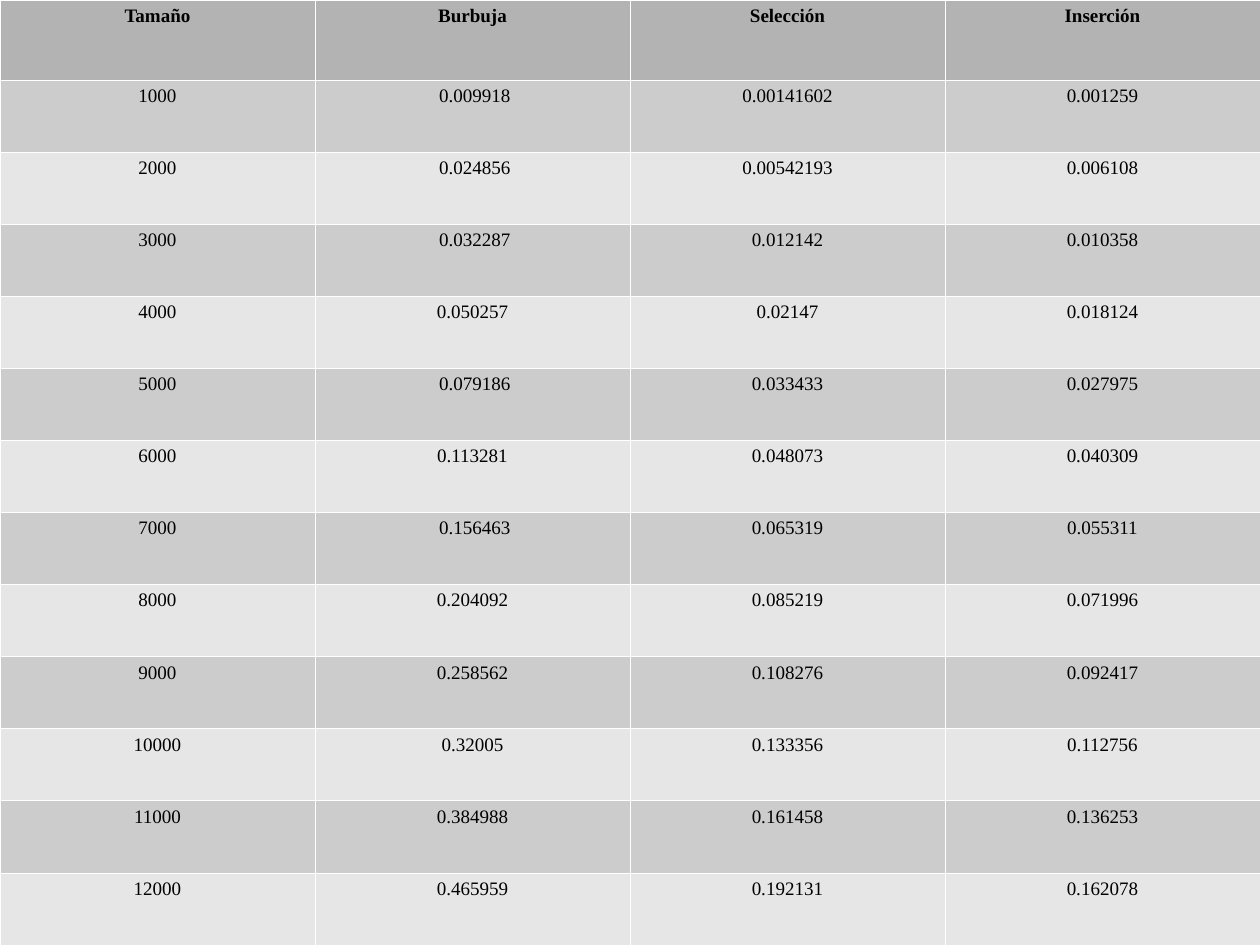
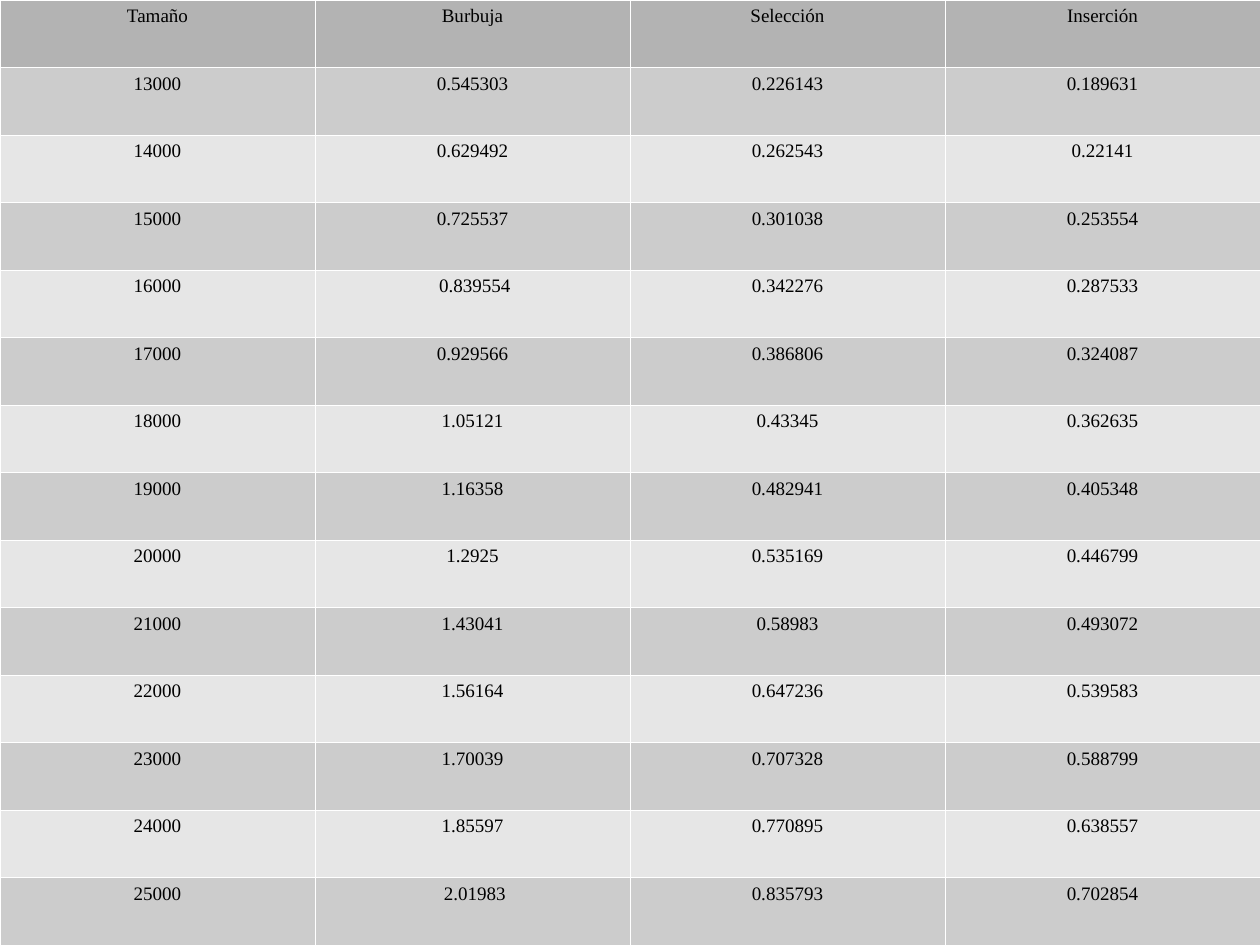
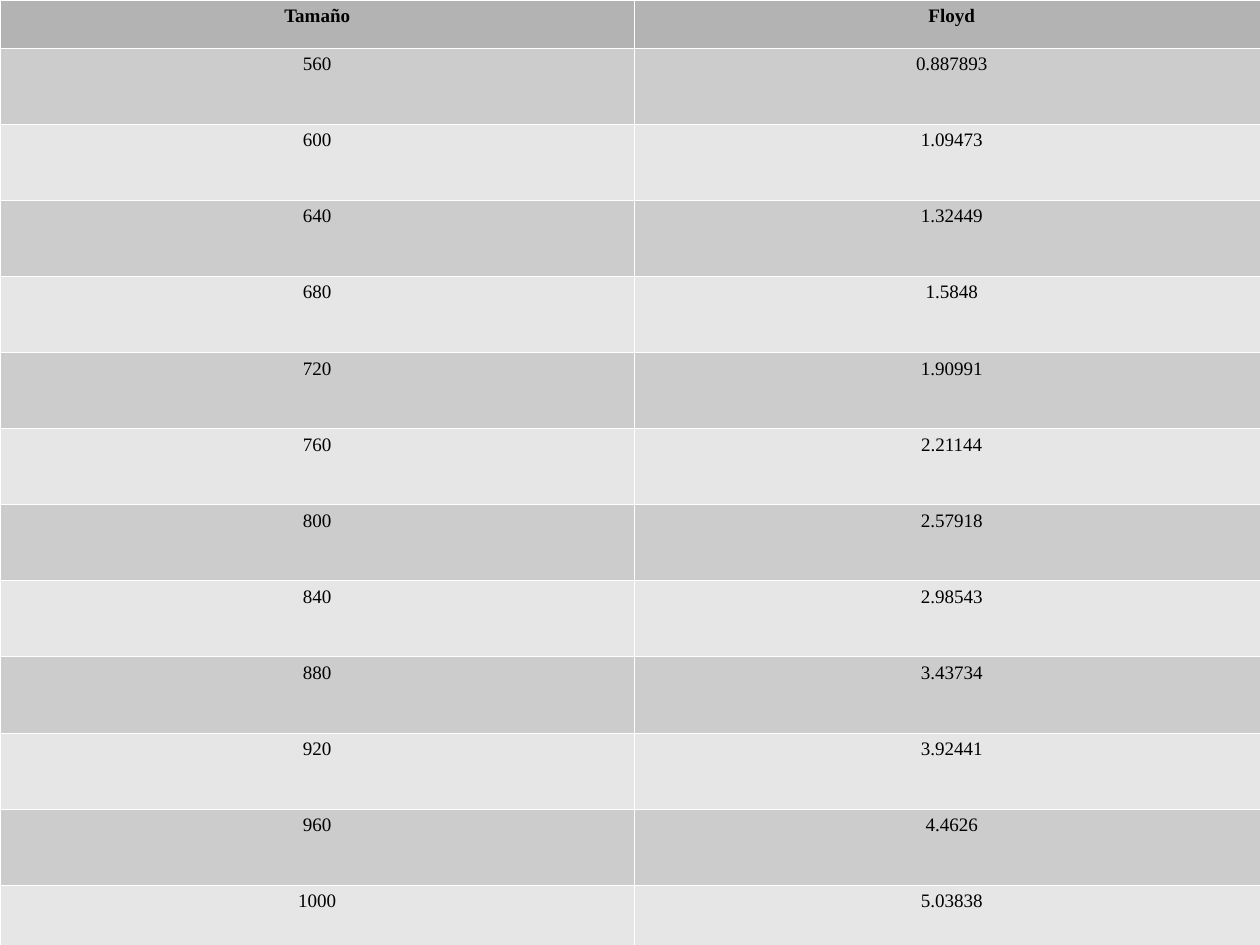
import pptx
import pptx.util
import pptx.dml.color
import pptx.enum.text
import pptx.oxml
import pptx.oxml.ns

# Content
SORT_HEAD = ("Tamaño", "Burbuja", "Selección", "Inserción")

SORT_SMALL = [
    ("1000", " 0.009918", "0.00141602", "0.001259"),
    ("2000", " 0.024856", "0.00542193", "0.006108"),
    ("3000", " 0.032287", "0.012142", "0.010358"),
    ("4000", "0.050257", "0.02147", "0.018124"),
    ("5000", " 0.079186", "0.033433", "0.027975"),
    ("6000", "0.113281", "0.048073", "0.040309"),
    ("7000", " 0.156463", "0.065319", "0.055311"),
    ("8000", "0.204092", "0.085219", "0.071996"),
    ("9000", "0.258562", "0.108276", "0.092417"),
    ("10000", "0.32005", "0.133356", "0.112756"),
    ("11000", "0.384988", "0.161458", "0.136253"),
    ("12000", "0.465959", "0.192131", "0.162078"),
]

SORT_LARGE = [
    ("13000", "0.545303", "0.226143", "0.189631"),
    ("14000", "0.629492", "0.262543", "0.22141"),
    ("15000", "0.725537", "0.301038", "0.253554"),
    ("16000", " 0.839554", "0.342276", "0.287533"),
    ("17000", "0.929566", "0.386806", "0.324087"),
    ("18000", "1.05121", "0.43345", "0.362635"),
    ("19000", "1.16358", "0.482941", "0.405348"),
    ("20000", "1.2925", "0.535169", "0.446799"),
    ("21000", "1.43041", "0.58983", "0.493072"),
    ("22000", "1.56164", "0.647236", "0.539583"),
    ("23000", "1.70039", "0.707328", "0.588799"),
    ("24000", "1.85597", "0.770895", "0.638557"),
    ("25000", " 2.01983", "0.835793", "0.702854"),
]

FLOYD = [
    ("560", "0.887893"),
    ("600", "1.09473"),
    ("640", "1.32449"),
    ("680", "1.5848"),
    ("720", "1.90991"),
    ("760", "2.21144"),
    ("800", "2.57918"),
    ("840", "2.98543"),
    ("880", "3.43734"),
    ("920", "3.92441"),
    ("960", "4.4626"),
    ("1000", "5.03838"),
]

# Lengths in centimetres; rows without a height of their own share the rest equally
WIDTH, HEIGHT = 28, 21
TABLES = [
    dict(head=SORT_HEAD, body=SORT_SMALL, bold=True, width=WIDTH, fixed_rows={0: 1.77}),
    dict(head=SORT_HEAD, body=SORT_LARGE, bold=False, width=WIDTH, fixed_rows={}),
    dict(head=("Tamaño", "Floyd"), body=FLOYD, bold=True, width=28.2,
         fixed_rows={0: 1.07, len(FLOYD): 1.34}),
]

# Shared style
COLORS = {"head": "B3B3B3", "odd": "CCCCCC", "even": "E6E6E6", "rule": "FFFFFF", "text": "000000"}
FONT, SIZE, RULE_PT = "Times New Roman", 12, 0.06


def rgb(name):
    return pptx.dml.color.RGBColor.from_string(COLORS[name])


def add_borders(cell):
    tc_pr = cell._tc.get_or_add_tcPr()
    for side in ("lnL", "lnR", "lnT", "lnB"):
        tc_pr.append(pptx.oxml.parse_xml(
            f'<a:{side} {pptx.oxml.ns.nsdecls("a")} w="{pptx.util.Pt(RULE_PT)}">'
            f'<a:solidFill><a:srgbClr val="{COLORS["rule"]}"/></a:solidFill></a:{side}>'))


def fill_cell(cell, text, color, bold):
    add_borders(cell)
    cell.fill.solid()
    cell.fill.fore_color.rgb = rgb(color)
    p = cell.text_frame.paragraphs[0]
    p.alignment = pptx.enum.text.PP_ALIGN.CENTER
    r = p.add_run()
    r.text = text
    r.font.name = FONT
    r.font.size = pptx.util.Pt(SIZE)
    r.font.bold = bold
    r.font.color.rgb = rgb("text")


def add_results(slide, head, body, bold, width, fixed_rows):
    rows = [head, *body]
    table = slide.shapes.add_table(
        len(rows), len(head), 0, 0,
        pptx.util.Cm(width), pptx.util.Cm(HEIGHT)).table
    table.first_row = table.horz_banding = False

    # Grid
    for column in table.columns:
        column.width = pptx.util.Cm(width / len(head))
    shared = (HEIGHT - sum(fixed_rows.values())) / (len(rows) - len(fixed_rows))
    for i, row in enumerate(table.rows):
        row.height = pptx.util.Cm(fixed_rows.get(i, shared))

    # Cells
    for i, values in enumerate(rows):
        color = "head" if i == 0 else "odd" if i % 2 else "even"
        for j, text in enumerate(values):
            fill_cell(table.cell(i, j), text, color, bold and i == 0)


def main():
    prs = pptx.Presentation()
    prs.slide_width = pptx.util.Cm(WIDTH)
    prs.slide_height = pptx.util.Cm(HEIGHT)
    blank = prs.slide_layouts[6]
    for results in TABLES:
        add_results(prs.slides.add_slide(blank), **results)
    prs.save("out.pptx")


if __name__ == "__main__":
    main()
